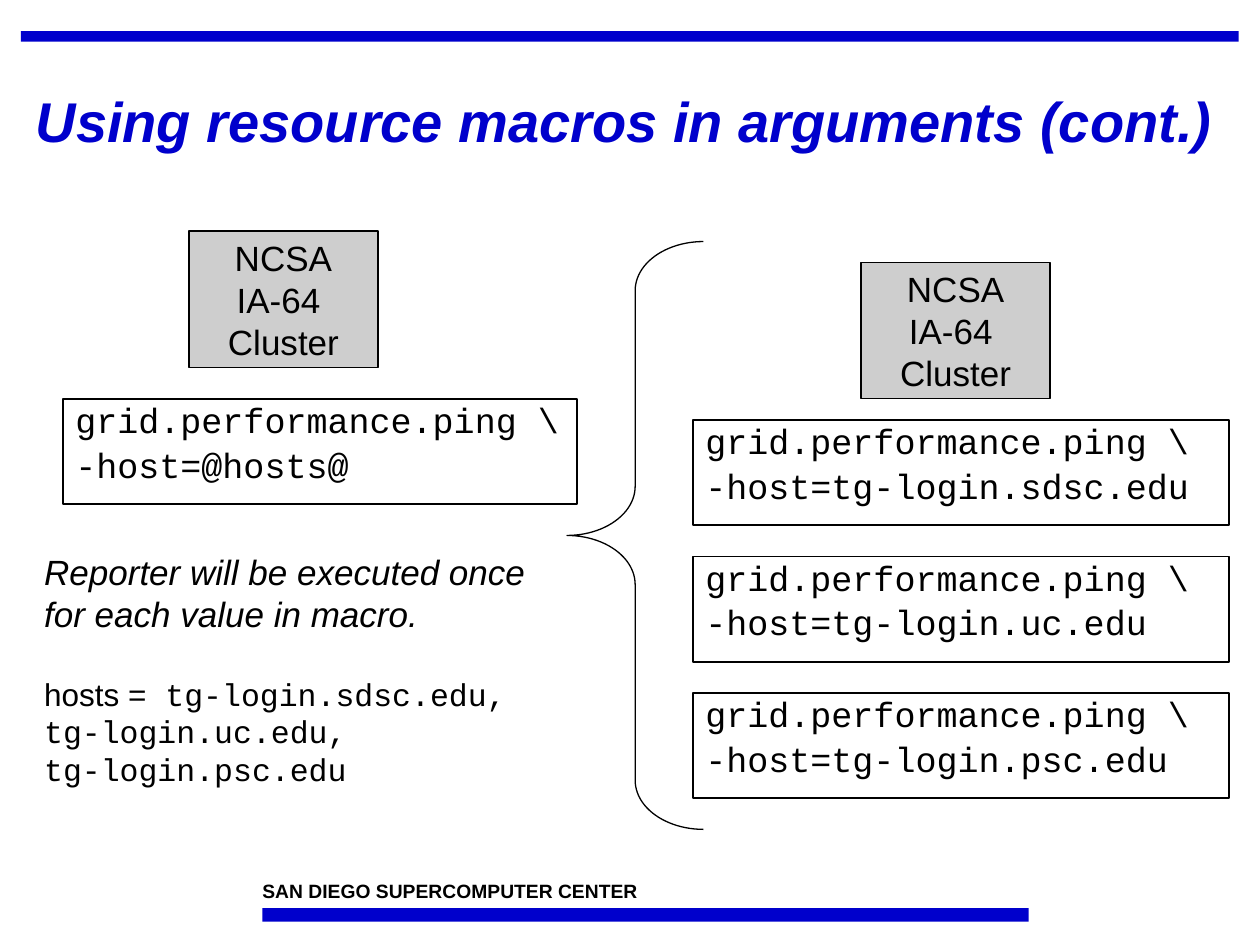
import dataclasses

import pptx
import pptx.dml.color
import pptx.enum.shapes
import pptx.enum.text
import pptx.util

Cm = pptx.util.Cm
Pt = pptx.util.Pt
ShapeType = pptx.enum.shapes.MSO_SHAPE
Align = pptx.enum.text.PP_ALIGN
Anchor = pptx.enum.text.MSO_ANCHOR


def color(value):
    return pptx.dml.color.RGBColor.from_string(value)


@dataclasses.dataclass(frozen=True)
class Theme:
    accent: str = "0000CC"
    ink: str = "000000"
    panel: str = "CECECE"
    sans: str = "Arial"
    mono: str = "Courier New"
    title_size: int = 32
    body_size: int = 20
    list_size: int = 18
    footer_size: int = 11


def write(paragraph, text, font, size, ink, bold=False, italic=False):
    for index, line in enumerate(text.split("\n")):
        if index:
            paragraph.add_line_break()
        run = paragraph.add_run()
        run.text = line
        run.font.name = font
        run.font.size = Pt(size)
        run.font.color.rgb = color(ink)
        run.font.bold = bold
        run.font.italic = italic


class SlideBuilder:
    def __init__(self, presentation, theme):
        self.theme = theme
        self.slide = presentation.slides.add_slide(presentation.slide_layouts[6])

    def shape(self, kind, box, fill=None, line_width=None):
        shape = self.slide.shapes.add_shape(kind, *map(Cm, box))
        shape.shadow.inherit = False
        if fill:
            shape.fill.solid()
            shape.fill.fore_color.rgb = color(fill)
        else:
            shape.fill.background()
        if line_width:
            shape.line.color.rgb = color(self.theme.ink)
            shape.line.width = Pt(line_width)
        else:
            shape.line.fill.background()
        return shape

    def bar(self, *box):
        self.shape(ShapeType.RECTANGLE, box, fill=self.theme.accent)

    def text_box(self, *box):
        frame = self.slide.shapes.add_textbox(*map(Cm, box)).text_frame
        frame.word_wrap = True
        return frame

    def title(self, text, *box):
        frame = self.text_box(*box)
        frame.vertical_anchor = Anchor.MIDDLE
        paragraph = frame.paragraphs[0]
        paragraph.alignment = Align.CENTER
        paragraph.line_spacing = 0.9
        write(paragraph, text, font=self.theme.sans, size=self.theme.title_size,
              ink=self.theme.accent, bold=True, italic=True)

    def footer(self, text, *box):
        frame = self.text_box(*box)
        frame.margin_left = frame.margin_right = 0
        frame.margin_top = frame.margin_bottom = 0
        write(frame.paragraphs[0], text, font=self.theme.sans,
              size=self.theme.footer_size, ink=self.theme.ink, bold=True)

    def lines(self, frame, lines, font, alignment, line_spacing, gap):
        for index, line in enumerate(lines):
            paragraph = frame.add_paragraph() if index else frame.paragraphs[0]
            paragraph.alignment = alignment
            paragraph.line_spacing = line_spacing
            if index:
                paragraph.space_before = Pt(gap)
            write(paragraph, line, font=font, size=self.theme.body_size,
                  ink=self.theme.ink)

    def cluster(self, left, top):
        shape = self.shape(ShapeType.RECTANGLE, (left, top, 3.81, 2.75),
                           fill=self.theme.panel, line_width=0.75)
        frame = shape.text_frame
        frame.word_wrap = False
        frame.vertical_anchor = Anchor.MIDDLE
        self.lines(frame, ["NCSA", "IA-64 ", "Cluster"], self.theme.sans,
                   Align.CENTER, 1.0, 0)

    def command(self, host, left, top, width):
        shape = self.shape(ShapeType.RECTANGLE, (left, top, width, 2.12), line_width=1)
        frame = shape.text_frame
        frame.word_wrap = True
        frame.vertical_anchor = Anchor.TOP
        self.lines(frame, ["grid.performance.ping \\", f"-host={host}"],
                   self.theme.mono, Align.LEFT, 0.85, 5)

    def brace(self, *box):
        shape = self.shape(ShapeType.LEFT_BRACE, box, line_width=0.75)
        shape.adjustments[0] = 0.36
        shape.adjustments[1] = 0.5

    def explanation(self, text, macro, hosts, *box):
        theme = self.theme
        frame = self.text_box(*box)
        write(frame.paragraphs[0], text, font=theme.sans, size=theme.body_size,
              ink=theme.ink, italic=True)
        paragraph = frame.add_paragraph()
        paragraph.space_before = Pt(23)
        write(paragraph, f"{macro} =", font=theme.sans, size=theme.list_size, ink=theme.ink)
        write(paragraph, " " + ",\n".join(hosts), font=theme.mono,
              size=theme.list_size, ink=theme.ink)


def main():
    presentation = pptx.Presentation()
    presentation.slide_width = Cm(25.4)
    presentation.slide_height = Cm(19.05)
    builder = SlideBuilder(presentation, Theme())
    hosts = [f"tg-login.{site}.edu" for site in ("sdsc", "uc", "psc")]

    builder.bar(0.42, 0.63, 24.55, 0.21)
    builder.bar(5.29, 18.31, 15.45, 0.27)
    builder.footer("SAN DIEGO SUPERCOMPUTER CENTER", 5.29, 17.73, 9.53, 0.46)
    builder.title("Using resource macros in arguments (cont.)", 0.42, 1.06, 24.34, 2.9)

    builder.cluster(17.36, 5.29)
    for index, host in enumerate(hosts):
        builder.command(host, 13.97, 8.47 + index * 2.75, 10.8)
    builder.brace(11.43, 4.87, 2.75, 11.85)

    builder.cluster(3.81, 4.66)
    builder.command("@hosts@", 1.27, 8.04, 10.37)
    builder.explanation("Reporter will be executed once for each value in macro.",
                        "hosts", hosts, 0.64, 10.97, 11, 5.85)

    presentation.save("out.pptx")


if __name__ == "__main__":
    main()
